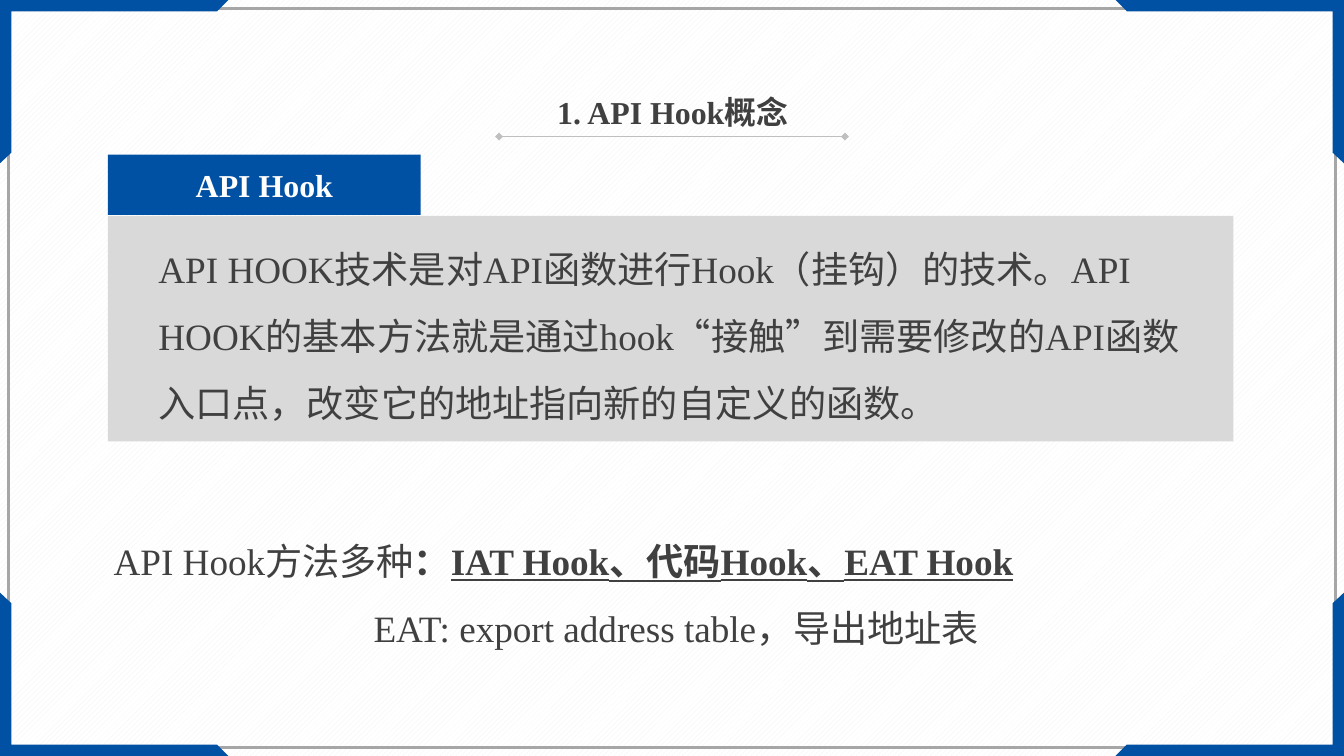
import pptx
import pptx.util
import pptx.dml.color
import pptx.enum.dml
import pptx.enum.shapes
import pptx.enum.text
import pptx.oxml
import pptx.oxml.ns

Cm = pptx.util.Cm
Pt = pptx.util.Pt
ALIGN = pptx.enum.text.PP_ALIGN
ANCHOR = pptx.enum.text.MSO_ANCHOR

WIDTH, HEIGHT = 35.71, 20.09
FONT = "Times New Roman"
COLORS = {
    "blue": "0050A3",
    "white": "FFFFFF",
    "text": "404040",
    "panel": "D9D9D9",
    "frame": "A6A6A6",
    "rule": "BFBFBF",
    "hatch": "F2F2F2",
}
CORNER = [(0, 0), (6.07, 0), (5.77, 0.3), (0.3, 0.3), (0.3, 4.06), (0, 4.34)]


def rgb(name):
    return pptx.dml.color.RGBColor.from_string(COLORS[name])


def set_background(s):
    fill = s.background.fill
    fill.patterned()
    fill.pattern = pptx.enum.dml.MSO_PATTERN.WIDE_UPWARD_DIAGONAL
    fill.fore_color.rgb = rgb("hatch")
    fill.back_color.rgb = rgb("white")


def fill_plain(sp, color):
    sp.shadow.inherit = False
    sp.fill.solid()
    sp.fill.fore_color.rgb = rgb(color)
    sp.line.fill.background()


def add_rect(s, x, y, w, h):
    sp = s.shapes.add_shape(
        pptx.enum.shapes.MSO_SHAPE.RECTANGLE, Cm(x), Cm(y), Cm(w), Cm(h))
    sp.shadow.inherit = False
    return sp


def add_frame(s):
    sp = add_rect(s, 0.23, 0.23, WIDTH - 0.46, HEIGHT - 0.46)
    sp.fill.background()
    sp.line.color.rgb = rgb("frame")
    sp.line.width = Pt(2)


def add_corner(s, right, bottom):
    points = [(Cm(WIDTH - x if right else x), Cm(HEIGHT - y if bottom else y))
              for x, y in CORNER]
    builder = s.shapes.build_freeform(*points[0])
    builder.add_line_segments(points[1:], close=True)
    fill_plain(builder.convert_to_shape(), "blue")


def add_title_rule(s):
    y = Cm(3.63)
    sp = s.shapes.add_connector(
        pptx.enum.shapes.MSO_CONNECTOR.STRAIGHT, Cm(13.26), y, Cm(22.45), y)
    sp.line.color.rgb = rgb("rule")
    sp.line.width = Pt(0.5)
    ln = sp.line._get_or_add_ln()
    for end in ("a:headEnd", "a:tailEnd"):
        ln.append(pptx.oxml.parse_xml(
            f'<{end} {pptx.oxml.ns.nsdecls("a")} type="diamond"/>'))
    sp._element.spPr.append(pptx.oxml.parse_xml(
        f'<a:effectLst {pptx.oxml.ns.nsdecls("a")}/>'))


def format_run(r, size, color="text", bold=False, underline=False):
    r.font.name = FONT
    r.font.size = Pt(size)
    r.font.color.rgb = rgb(color)
    r.font.bold = bold
    r.font.underline = underline


def write_heading(sp, text, color):
    tf = sp.text_frame
    tf.text = text
    tf.word_wrap = True
    tf.vertical_anchor = ANCHOR.MIDDLE
    p = tf.paragraphs[0]
    p.alignment = ALIGN.CENTER
    format_run(p.runs[0], 24, color, bold=True)


def add_body(s, x, y, w, h, paragraphs):
    tf = s.shapes.add_textbox(Cm(x), Cm(y), Cm(w), Cm(h)).text_frame
    tf.word_wrap = True
    for i, (align, runs) in enumerate(paragraphs):
        p = tf.add_paragraph() if i else tf.paragraphs[0]
        p.alignment = align
        p.line_spacing = 1.5
        for text, bold, underline in runs:
            r = p.add_run()
            r.text = text
            format_run(r, 28, bold=bold, underline=underline)


def add_title(s):
    sp = s.shapes.title
    sp.left, sp.top, sp.width, sp.height = Cm(12.78), Cm(2.34), Cm(10.19), Cm(1.28)
    write_heading(sp, "1. API Hook概念", "text")


def main():
    prs = pptx.Presentation()
    prs.slide_width, prs.slide_height = Cm(WIDTH), Cm(HEIGHT)
    s = prs.slides.add_slide(prs.slide_layouts.get_by_name("Title Only"))
    set_background(s)
    add_frame(s)
    for right in (False, True):
        for bottom in (False, True):
            add_corner(s, right, bottom)
    add_title_rule(s)
    add_title(s)

    tab = add_rect(s, 2.87, 4.11, 8.31, 1.6)
    fill_plain(tab, "blue")
    write_heading(tab, "API Hook", "white")

    fill_plain(add_rect(s, 2.87, 5.74, 29.9, 5.99), "panel")
    definition = ("API HOOK技术是对API函数进行Hook（挂钩）的技术。"
                  "API HOOK的基本方法就是通过hook“接触”到需要修改的API函数入口点，"
                  "改变它的地址指向新的自定义的函数。")
    add_body(s, 3.96, 5.82, 28.02, 5.64,
             [(ALIGN.LEFT, [(definition, False, False)])])
    add_body(s, 2.77, 13.59, 30.4, 3.84, [
        (ALIGN.LEFT, [("API Hook方法多种", False, False),
                      ("：", True, False),
                      ("IAT Hook、代码Hook、EAT Hook", True, True)]),
        (ALIGN.CENTER, [("EAT: export address table，导出地址表", False, False)]),
    ])
    prs.save("out.pptx")


if __name__ == "__main__":
    main()
